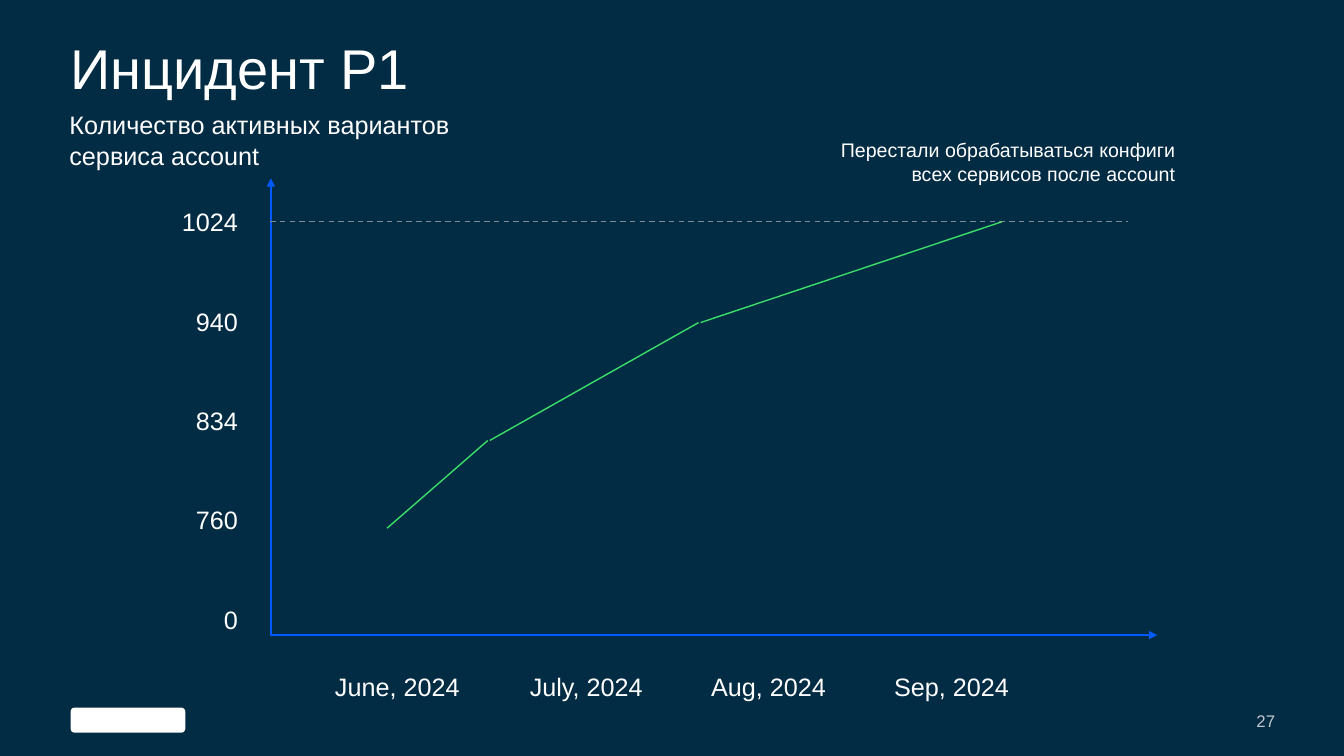
"""Build the incident slide: a growth line on hand-drawn axes."""
from lxml import etree
from pptx import Presentation
from pptx.dml.color import RGBColor
from pptx.enum.dml import MSO_LINE
from pptx.enum.shapes import MSO_CONNECTOR, MSO_SHAPE
from pptx.enum.text import MSO_ANCHOR, MSO_AUTO_SIZE, PP_ALIGN
from pptx.oxml.ns import qn
from pptx.util import Pt

LEFT, RIGHT = PP_ALIGN.LEFT, PP_ALIGN.RIGHT
TOP, MIDDLE = MSO_ANCHOR.TOP, MSO_ANCHOR.MIDDLE
FIXED = MSO_AUTO_SIZE.NONE
DASH = MSO_LINE.DASH
LINE = MSO_CONNECTOR.STRAIGHT
ROUND = MSO_SHAPE.ROUNDED_RECTANGLE
FONT = "Arial"
COLORS = {
    "back": "022B44",
    "text": "FFFFFF",
    "page": "C0C8CE",
    "axis": "005AFF",
    "limit": "7F8C95",
    "growth": "3ADE68",
}
LEVELS = ["1024", "940", "834", "760", "0"]
MONTHS = ["June, 2024", "July, 2024", "Aug, 2024", "Sep, 2024"]
GROWTH = [
    (276.5, 377.3, 348.5, 314.6),
    (349.9, 314.6, 499, 230.4),
    (500.4, 230.4, 715.7, 158.4),
]


def color(name):
    """Return the named colour."""
    return RGBColor.from_string(COLORS[name])


def style(frame, size, align=LEFT, tint="text"):
    """Format every run of a text frame."""
    for para in frame.paragraphs:
        para.alignment = align
        for run in para.runs:
            run.font.name = FONT
            run.font.size = Pt(size)
            run.font.color.rgb = color(tint)


def trim(frame):
    """Remove the inner margins of a text frame."""
    frame.margin_left = frame.margin_right = 0
    frame.margin_top = frame.margin_bottom = 0


def add_title(slide, text):
    """Fill and place the title placeholder."""
    title = slide.shapes.title
    title.left, title.top = Pt(50.4), Pt(32.4)
    title.width, title.height = Pt(859), Pt(54)
    frame = title.text_frame
    frame.text = text
    frame.auto_size = FIXED
    frame.vertical_anchor = TOP
    trim(frame)
    frame.paragraphs[0].line_spacing = 0.82
    style(frame, 40)


def add_text(slide, text, box, size=18, align=RIGHT, tint="text"):
    """Add a wrapped text box and return its frame."""
    shape = slide.shapes.add_textbox(*(Pt(side) for side in box))
    frame = shape.text_frame
    frame.word_wrap = True
    frame.text = text
    style(frame, size, align, tint)
    return frame


def add_line(slide, ends, tint, arrow=False, dash=None):
    """Add a straight line, with an arrowhead or dashes if asked."""
    line = slide.shapes.add_connector(LINE, *(Pt(end) for end in ends))
    line.line.color.rgb = color(tint)
    line.line.width = Pt(1)
    if dash:
        line.line.dash_style = dash
    if arrow:
        pen = line.line._get_or_add_ln()
        etree.SubElement(pen, qn("a:tailEnd"), type="triangle")
    etree.SubElement(line._element.spPr, qn("a:effectLst"))


def add_mark(slide, box):
    """Add the plain footer mark."""
    mark = slide.shapes.add_shape(ROUND, *(Pt(side) for side in box))
    mark.shadow.inherit = False
    mark.fill.solid()
    mark.fill.fore_color.rgb = color("text")
    mark.line.fill.background()


def add_plot(slide):
    """Draw the axes, their labels, the limit and the growth line."""
    add_line(slide, (193.5, 453.6, 193.5, 127.4), "axis", arrow=True)
    add_line(slide, (193, 453.6, 826.6, 453.6), "axis", arrow=True)
    for row, level in enumerate(LEVELS):
        add_text(slide, level, (113, 144 + 71 * row, 64, 29))
    for col, month in enumerate(MONTHS):
        add_text(slide, month, (217.4 + 130.8 * col, 476, 118, 29))
    add_line(slide, (193, 158.4, 805.7, 158.4), "limit", dash=DASH)
    for ends in GROWTH:
        add_line(slide, ends, "growth")


def main():
    """Build and save the slide."""
    deck = Presentation()
    deck.slide_width, deck.slide_height = Pt(960), Pt(540)
    slide = deck.slides.add_slide(deck.slide_layouts[5])
    slide.background.fill.solid()
    slide.background.fill.fore_color.rgb = color("back")
    add_mark(slide, (50.4, 505.4, 82, 18))
    page = add_text(slide, "27", (839.5, 506, 71.3, 17.3), 12, tint="page")
    page.vertical_anchor = MIDDLE
    trim(page)
    add_title(slide, "Инцидент P1")
    add_plot(slide)
    add_text(
        slide,
        "Перестали обрабатываться конфиги всех сервисов после account",
        (571.7, 95, 275, 41),
        14,
    )
    add_text(
        slide,
        "Количество активных вариантов\nсервиса account",
        (42.5, 74.9, 372, 52),
        align=LEFT,
    )
    deck.save("out.pptx")


if __name__ == "__main__":
    main()
